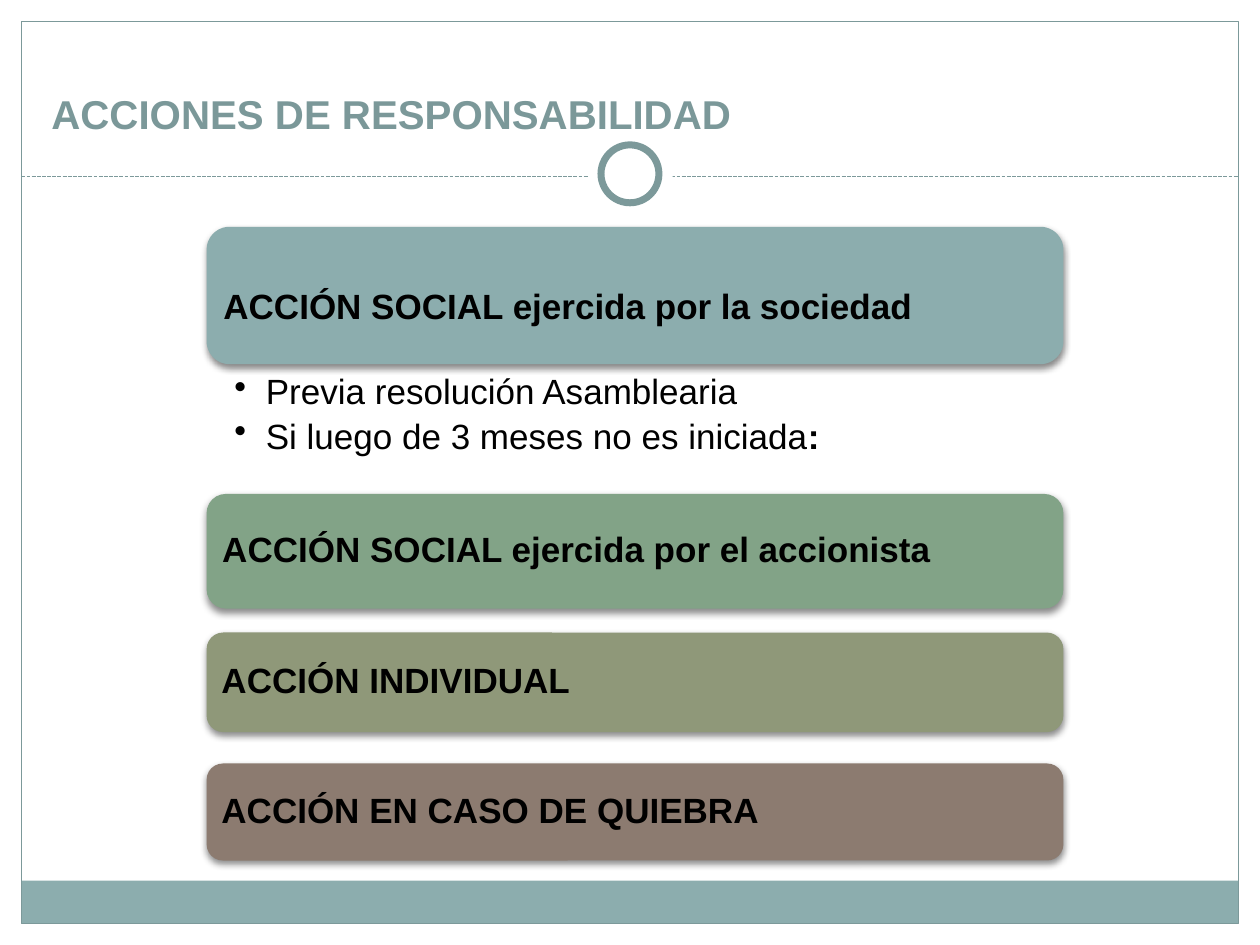
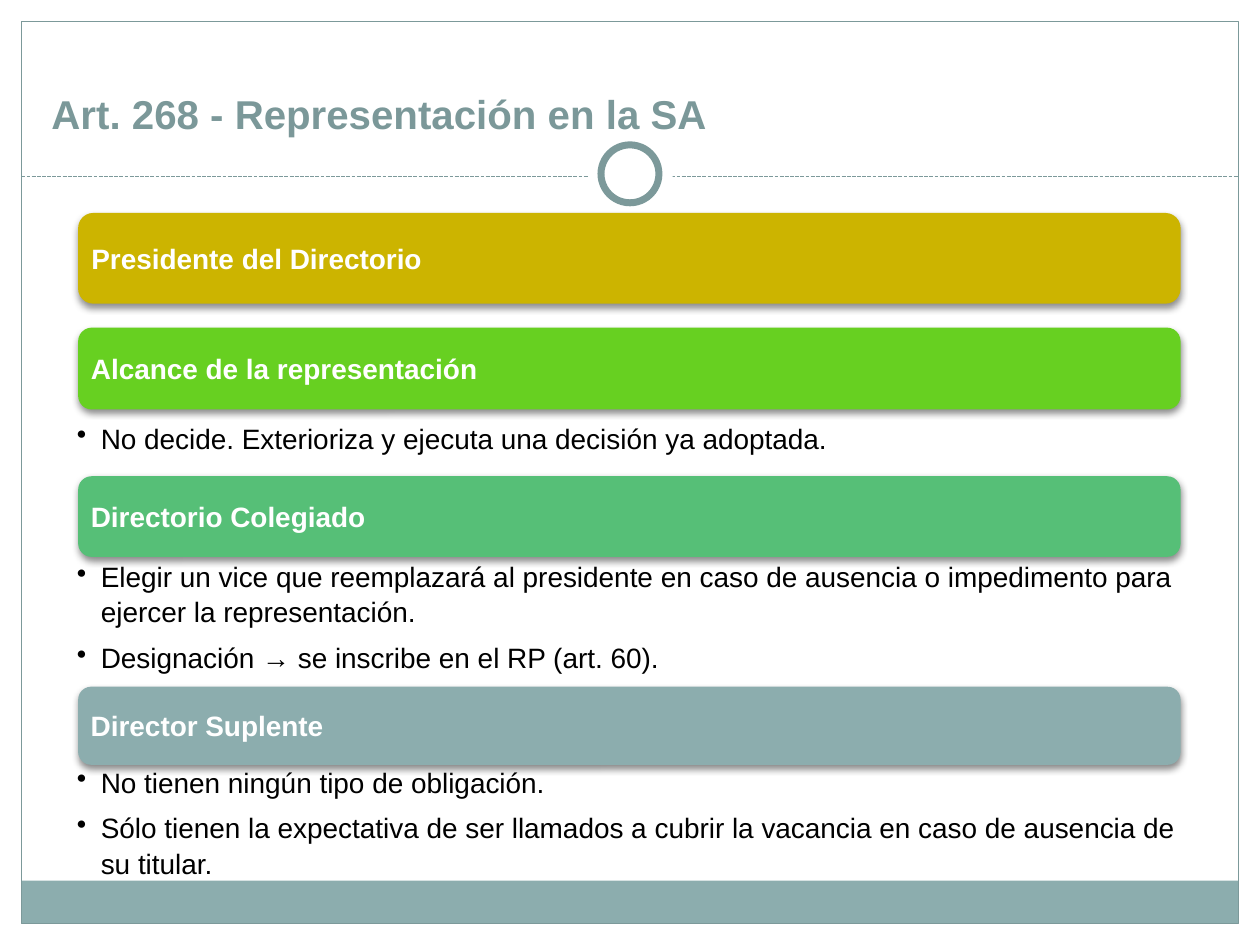
from dataclasses import dataclass

from lxml.etree import SubElement
from pptx import Presentation
from pptx.dml.color import RGBColor
from pptx.enum.dml import MSO_LINE
from pptx.enum.shapes import MSO_CONNECTOR, MSO_SHAPE
from pptx.enum.text import MSO_ANCHOR, PP_ALIGN
from pptx.oxml.ns import qn
from pptx.util import Emu, Pt

PX = 9144  # 100 px to the inch


@dataclass(frozen=True)
class Theme:
    font: str = "Arial"
    white: str = "FFFFFF"
    black: str = "000000"
    title: str = "7B9899"
    line: str = "7C999A"
    teal: str = "8CADAE"
    sage: str = "82A387"
    olive: str = "8F9879"
    brown: str = "8C7B70"
    gold: str = "CCB400"
    lime: str = "67D021"
    green: str = "56BF77"
    title_size: int = 23
    thin: float = 0.75
    ring: int = 4


@dataclass(frozen=True)
class Style:
    """Text settings of one slide's cards and notes."""
    size: int
    ink: str
    pad: int
    card_gap: int
    note_gap: int
    hang: int
    note_pads: tuple


THEME = Theme()
ACTIONS = Style(20, THEME.black, 8, 7, 0, 25, (22, 3, 16, 3))
ROLES = Style(16, THEME.white, 7, 6, 6, 19, (30, 2, 12, 2))


def px(*nums):
    return [Emu(num * PX) for num in nums]


def rgb(code):
    return RGBColor.from_string(code)


def paint(shape, fill=None, line=None, width=THEME.thin):
    shape.shadow.inherit = False
    if fill:
        shape.fill.solid()
        shape.fill.fore_color.rgb = rgb(fill)
    else:
        shape.fill.background()
    if line:
        shape.line.color.rgb = rgb(line)
        shape.line.width = Pt(width)
    else:
        shape.line.fill.background()


def add_part(slide, kind, box, **look):
    shape = slide.shapes.add_shape(kind, *px(*box))
    paint(shape, **look)
    return shape


def set_frame(frame, pads, anchor):
    frame.word_wrap = True
    frame.vertical_anchor = anchor
    (frame.margin_left, frame.margin_top,
     frame.margin_right, frame.margin_bottom) = px(*pads)


def style_runs(para, size, color, bold=False):
    para.alignment = PP_ALIGN.LEFT
    for run in para.runs:
        font = run.font
        font.name, font.size, font.bold = THEME.font, Pt(size), bold
        font.color.rgb = rgb(color)


def add_shade(shape):
    """Give the shape a soft shadow below it."""
    effects = shape._element.spPr.find(qn("a:effectLst"))
    outer = SubElement(effects, qn("a:outerShdw"), blurRad=str(Pt(4)),
                       dist=str(Pt(2)), dir="5400000", rotWithShape="0")
    tint = SubElement(outer, qn("a:srgbClr"), val=THEME.black)
    SubElement(tint, qn("a:alpha"), val="45000")


def add_bullet(para, hang):
    props = para._p.get_or_add_pPr()
    props.set("marL", str(hang * PX))
    props.set("indent", str(-hang * PX))
    SubElement(props, qn("a:buChar"), char="•")


def add_rule(slide, left, right, top):
    rule = slide.shapes.add_connector(MSO_CONNECTOR.STRAIGHT,
                                      *px(left, top, right, top))
    rule.line.color.rgb = rgb(THEME.line)
    rule.line.width = Pt(THEME.thin)
    rule.line.dash_style = MSO_LINE.SQUARE_DOT
    SubElement(rule._element.spPr, qn("a:effectLst"))


def add_disc(slide, mid, size, **look):
    x, y = mid
    box = (x - size // 2, y - size // 2, size, size)
    add_part(slide, MSO_SHAPE.OVAL, box, **look)


def add_decor(slide, box):
    """Draw the footer band, border, dashed rule and ring."""
    left, top, width, height = box
    band = 34
    add_part(slide, MSO_SHAPE.RECTANGLE,
             (left, top + height - band, width, band), fill=THEME.teal)
    add_part(slide, MSO_SHAPE.RECTANGLE, box, line=THEME.line)
    add_rule(slide, left, left + width, top + 123)
    mid = (left + width // 2, top + 121)
    add_disc(slide, mid, 67, fill=THEME.white)
    add_disc(slide, mid, 46, fill=THEME.white, line=THEME.line,
             width=THEME.ring)


def add_title(slide, box, text):
    frame = slide.shapes.add_textbox(*px(*box)).text_frame
    set_frame(frame, (10, 5, 10, 5), MSO_ANCHOR.BOTTOM)
    frame.text = text
    style_runs(frame.paragraphs[0], THEME.title_size, THEME.title, True)


def add_card(slide, box, text, fill, style, pitch):
    card = add_part(slide, MSO_SHAPE.ROUNDED_RECTANGLE, box, fill=fill)
    add_shade(card)
    frame = card.text_frame
    set_frame(frame, [style.pad] * 4, MSO_ANCHOR.MIDDLE)
    frame.text = text
    para = frame.paragraphs[0]
    para.line_spacing = pitch
    para.space_after = Pt(style.card_gap)
    style_runs(para, style.size, style.ink, True)


def add_notes(slide, box, notes, style):
    """Write bullets; a closing colon is bold."""
    frame = slide.shapes.add_textbox(*px(*box)).text_frame
    set_frame(frame, style.note_pads, MSO_ANCHOR.TOP)
    for num, note in enumerate(notes):
        para = frame.add_paragraph() if num else frame.paragraphs[0]
        add_bullet(para, style.hang)
        para.level = 1
        para.line_spacing = 1.05
        para.space_after = Pt(style.note_gap)
        body, colon, _ = note.partition(":")
        para.text = body
        style_runs(para, style.size, THEME.black)
        if colon:
            para.add_run().text = colon
            style_runs(para, style.size, THEME.black)
            para.runs[-1].font.bold = True


def add_page(deck, title):
    slide = deck.slides.add_slide(deck.slide_layouts[6])
    add_decor(slide, (17, 17, 966, 716))
    add_title(slide, (31, 31, 933, 83), title)
    return slide


def build_actions(deck):
    slide = add_page(deck, "ACCIONES DE RESPONSABILIDAD")
    left, width = 164, 680
    cards = [
        (180, 109, "ACCIÓN SOCIAL ejercida por la sociedad", THEME.teal, 1.5),
        (392, 91, "ACCIÓN SOCIAL ejercida por el accionista",
         THEME.sage, 0.9),
        (502, 79, "ACCIÓN INDIVIDUAL", THEME.olive, 0.9),
        (606, 77, "ACCIÓN EN CASO DE QUIEBRA", THEME.brown, 0.9),
    ]
    for top, height, text, fill, pitch in cards:
        add_card(slide, (left, top, width, height), text, fill, ACTIONS, pitch)
    notes = ["Previa resolución Asamblearia",
             "Si luego de 3 meses no es iniciada:"]
    add_notes(slide, (left, 289, width, 103), notes, ACTIONS)


def build_roles(deck):
    slide = add_page(deck, "Art. 268 - Representación en la SA")
    cards = [
        (169, 72, "Presidente del Directorio", THEME.gold),
        (260, 65, "Alcance de la representación", THEME.lime),
        (378, 64, "Directorio Colegiado", THEME.green),
        (545, 62, "Director Suplente", THEME.teal),
    ]
    for top, height, text, fill in cards:
        add_card(slide, (62, top, 875, height), text, fill, ROLES, 1.0)
    blocks = [
        (331, 47, ["No decide. Exterioriza y ejecuta una decisión "
                   "ya adoptada."]),
        (441, 94, ["Elegir un vice que reemplazará al presidente en caso de "
                   "ausencia o impedimento para ejercer la representación.",
                   "Designación → se inscribe en el RP (art. 60)."]),
        (604, 94, ["No tienen ningún tipo de obligación.",
                   "Sólo tienen la expectativa de ser llamados a cubrir la "
                   "vacancia en caso de ausencia de su titular."]),
    ]
    for top, height, notes in blocks:
        add_notes(slide, (31, top, 938, height), notes, ROLES)


def main():
    deck = Presentation()
    deck.slide_width, deck.slide_height = px(1000, 750)
    build_actions(deck)
    build_roles(deck)
    deck.save("out.pptx")


if __name__ == "__main__":
    main()
